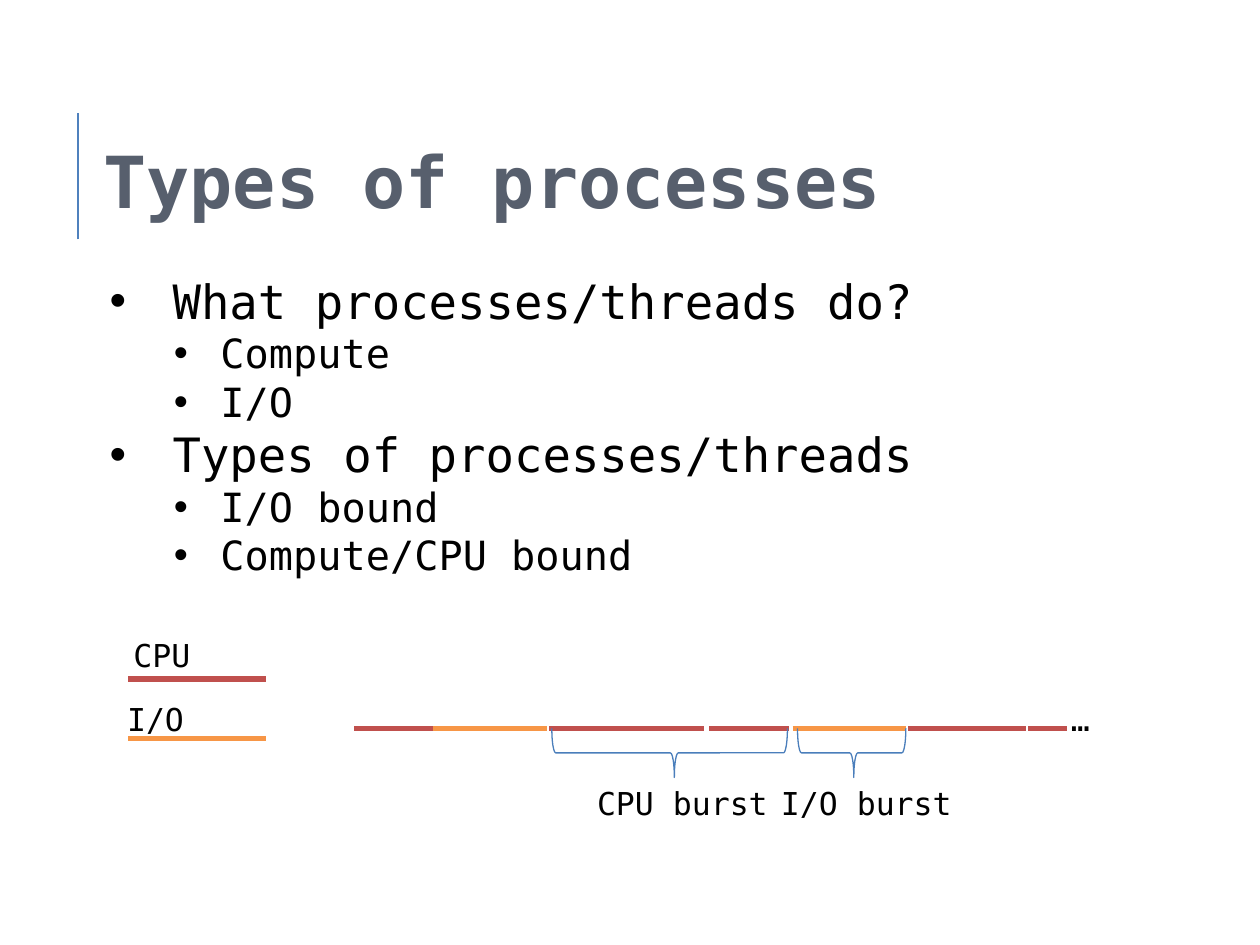
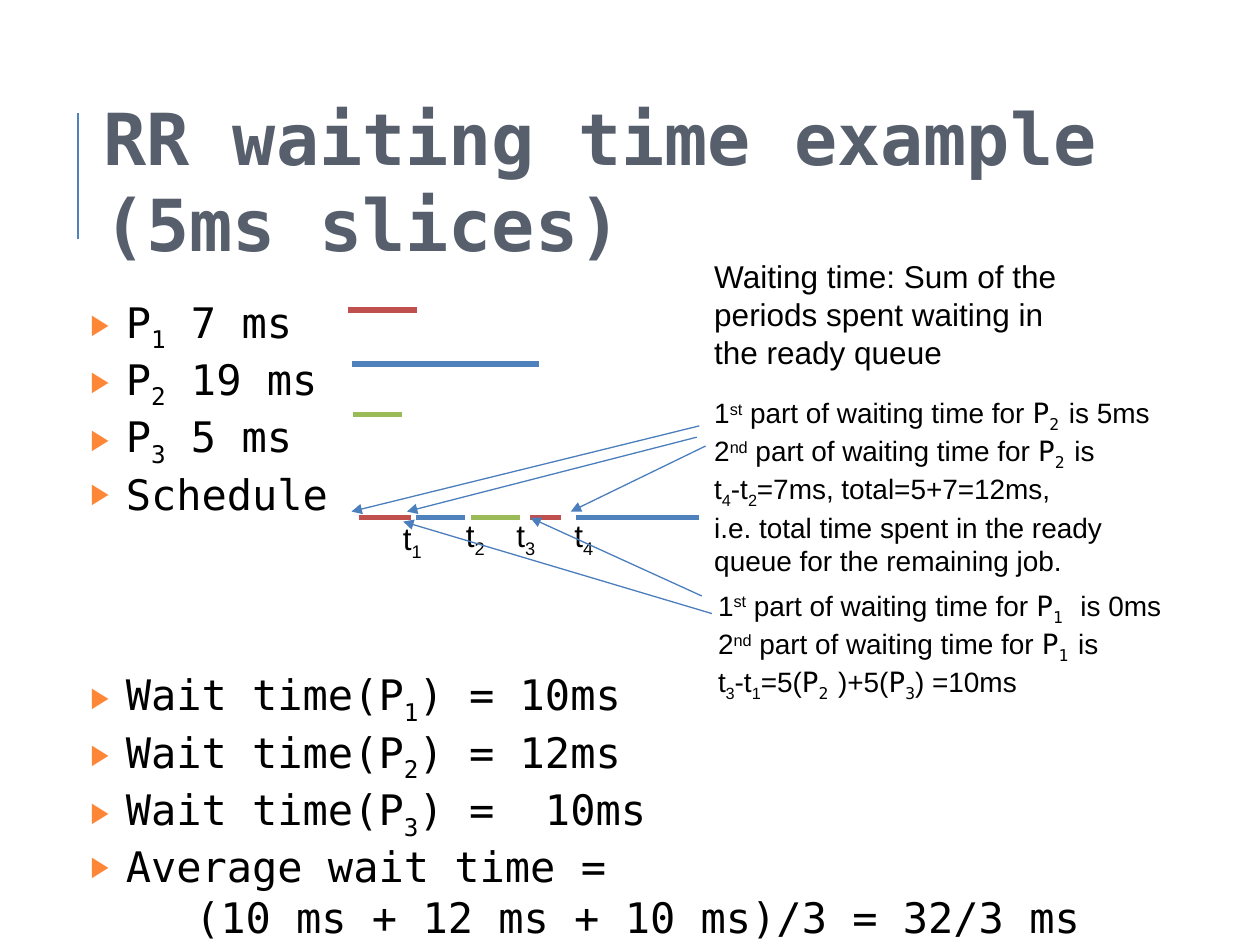
from itertools import cycle

from lxml import etree
from pptx import Presentation
from pptx.dml.color import RGBColor
from pptx.enum.shapes import MSO_CONNECTOR, MSO_SHAPE
from pptx.enum.text import MSO_ANCHOR, PP_ALIGN
from pptx.oxml.ns import qn
from pptx.util import Inches, Pt

STRAIGHT = MSO_CONNECTOR.STRAIGHT
LEFT_BRACE = MSO_SHAPE.LEFT_BRACE
TOP, MIDDLE = MSO_ANCHOR.TOP, MSO_ANCHOR.MIDDLE
CENTER = PP_ALIGN.CENTER

THEME = {
    "mono": "DejaVu Sans Mono", "sans": "Arial",
    "title": "575F6D", "text": "000000", "rule": "4F81BD", "thin": "4A7EBB",
    "arrow": "4B7EBC", "triangle": "FE8637",
    "red": "C0504D", "orange": "F79646", "blue": "4F81BD", "green": "9BBB59",
    "title_size": 41, "topic_size": 27, "point_size": 23, "list_size": 24,
    "label_size": 18, "note_size": 16,
    "bar_width": 3, "rule_width": 1.5, "thin_width": 0.75,
}
INSETS = (0.1, 0.05)

# ---- Content: processes ----
TOPICS = [
    ("What processes/threads do?", ["Compute", "I/O"]),
    ("Types of processes/threads", ["I/O bound", "Compute/CPU bound"]),
]
# label, left and top of the label, colour and height of the key line
LEGEND = [("CPU", 0.96, 5.0, "red", 5.39), ("I/O", 0.91, 5.51, "orange", 5.86)]
BURST_STARTS = [2.81, 3.44, 3.73, 4.36, 4.59, 5.28,
                5.63, 6.29, 6.58, 7.21, 7.44, 8.16]
BURST_LENGTHS = [0.63, 0.31, 0.61, 0.31, 0.7, 0.31]
BURST_COLORS = ["red", "orange", "orange", "red", "red", "red"]
BURST_Y = 5.78
# label, left of the label, left and width of the span it marks
BRACES = [("CPU burst", 4.64, 4.38, 1.87), ("I/O burst", 6.1, 6.33, 0.86)]
BRACE_TOP, BRACE_HEIGHT = 5.78, 0.39

# ---- Content: round robin ----
# Runs are parted by "|"; "`" means monospaced, "_" subscript, "^" superscript.
JOBS = ["P|_1| 7 ms", "P|_2| 19 ms", "P|_3| 5 ms", "Schedule"]
WAITS = ["Wait time(P|_1|) = 10ms", "Wait time(P|_2|) = 12ms",
         "Wait time(P|_3|) =  10ms", "Average wait time ="]
AVERAGE = "(10 ms + 12 ms + 10 ms)/3 = 32/3 ms"
SCHEDULE_GAP = 86
DEFINITION = "Waiting time: Sum of the periods spent waiting in the ready queue"
NOTE_P2 = [
    "1|^st| part of waiting time for |`P|`_2 |is 5ms",
    "2|^nd| part of waiting time for |`P|`_2 |is",
    "t|_4|-t|_2|=7ms, total=5+7=12ms,",
    "i.e. total time spent in the ready",
    "queue for the remaining job.",
]
NOTE_P1 = [
    "1|^st| part of waiting time for |`P|`_1 | is 0ms",
    "2|^nd| part of waiting time for |`P|`_1 |is",
    "t|_3|-t|_1|=5(|`P|`_2 |)+5(|`P|`_3|) =10ms",
]
JOB_BARS = [(2.76, 3.31, 2.46, "red"), (2.79, 4.28, 2.89, "blue"),
            (2.8, 3.19, 3.29, "green")]
SCHEDULE_Y = 4.11
SLICES = [(2.85, 3.26, "red"), (3.3, 3.69, "blue"), (3.74, 4.13, "green"),
          (4.21, 4.45, "red"), (4.57, 5.55, "blue")]
TIME_MARKS = [("t|_1", 3.1, 4.07), ("t|_2", 3.6, 4.05),
              ("t|_3", 4.0, 4.05), ("t|_4", 4.46, 4.05)]
NOTE_ARROWS = [
    ((5.55, 3.38), (2.79, 4.06)), ((5.53, 3.47), (3.23, 4.06)),
    ((5.6, 3.54), (4.53, 4.06)), ((5.57, 4.73), (4.21, 4.11)),
    ((5.65, 4.87), (3.2, 4.14)),
]


# ---- Helpers ----
def color(name):
    return RGBColor.from_string(THEME[name])


def add_line(page, start, end, ink, width=THEME["bar_width"], arrow=False):
    ends = [Inches(value) for value in (*start, *end)]
    line = page.shapes.add_connector(STRAIGHT, *ends)
    line.line.color.rgb = color(ink)
    line.line.width = Pt(width)
    if arrow:
        etree.SubElement(line.line._get_or_add_ln(), qn("a:tailEnd"), type="triangle")
    etree.SubElement(line._element.spPr, qn("a:effectLst"))


def add_bar(page, left, right, y, ink):
    add_line(page, (left, y), (right, y), ink)


def add_box(page, left, top, width, height, insets=INSETS, wrap=True, anchor=TOP):
    box = page.shapes.add_textbox(*map(Inches, (left, top, width, height)))
    frame = box.text_frame
    frame.word_wrap = wrap
    frame.vertical_anchor = anchor
    frame.margin_left = frame.margin_right = Inches(insets[0])
    frame.margin_top = frame.margin_bottom = Inches(insets[1])
    return frame


def write(para, marked, size, font="mono", ink="text", bold=False):
    for piece in marked.split("|"):
        face = "mono" if piece.startswith("`") else font
        piece = piece.removeprefix("`")
        shift = {"_": "-25000", "^": "30000"}.get(piece[:1])
        span = para.add_run()
        span.text = piece[1:] if shift else piece
        span.font.size = Pt(THEME[size])
        span.font.name = THEME[face]
        span.font.color.rgb = color(ink)
        span.font.bold = bold
        if shift:
            span.font._element.set("baseline", shift)


def paragraphs(frame, count):
    return [frame.paragraphs[0]] + [frame.add_paragraph() for _ in range(count - 1)]


def indent(para, left, first, bullet=None, ink="text", percent=100, before=0):
    para.space_before = Pt(before)
    props = para._element.get_or_add_pPr()
    props.set("marL", str(Inches(left)))
    props.set("indent", str(Inches(first)))
    if bullet:
        tint = etree.SubElement(props, qn("a:buClr"))
        etree.SubElement(tint, qn("a:srgbClr"), val=THEME[ink])
        etree.SubElement(props, qn("a:buSzPct"), val=str(percent * 1000))
        etree.SubElement(props, qn("a:buFont"), typeface=THEME["sans"])
        etree.SubElement(props, qn("a:buChar"), char=bullet)


def add_lines(page, lines, place, size, font, wrap=False):
    frame = add_box(page, *place, wrap=wrap)
    for para, line in zip(paragraphs(frame, len(lines)), lines):
        write(para, line, size, font)


def add_page(deck, title):
    page = deck.slides.add_slide(deck.slide_layouts[6])
    add_line(page, (0.62, 1.9), (0.62, 0.9), "rule", THEME["rule_width"])
    frame = add_box(page, 0.82, 1.18, 9.18, 0.5, insets=(0, 0), anchor=MIDDLE)
    write(frame.paragraphs[0], title, "title_size", ink="title", bold=True)
    return page


# ---- Slides ----
def build_processes(deck):
    page = add_page(deck, "Types of processes")

    # Topics with their points
    rows = []
    for topic, points in TOPICS:
        rows.append((topic, 0, "topic_size", 0.5, -0.5))
        rows += [(point, 1, "point_size", 0.88, -0.37) for point in points]
    frame = add_box(page, 0.82, 2.11, 8.44, 5.3, insets=(0.05, 0.05))
    for para, (text, level, size, left, first) in zip(paragraphs(frame, len(rows)), rows):
        para.level = level
        indent(para, left, first, "•")
        write(para, text, size)

    # Legend
    for label, left, top, ink, y in LEGEND:
        add_bar(page, 1.02, 2.11, y, ink)
        add_lines(page, [label], (left, top, 0.68, 0.4), "label_size", "mono")

    # Timeline of bursts
    for start, length, ink in zip(BURST_STARTS, cycle(BURST_LENGTHS), cycle(BURST_COLORS)):
        add_bar(page, start, start + length, BURST_Y, ink)
    add_lines(page, ["…"], (8.4, 5.51, 0.45, 0.4), "label_size", "mono")

    # Braces, turned to point down
    for label, label_left, left, width in BRACES:
        box_left = left + (width - BRACE_HEIGHT) / 2
        box_top = BRACE_TOP + (BRACE_HEIGHT - width) / 2
        brace = page.shapes.add_shape(
            LEFT_BRACE, *map(Inches, (box_left, box_top, BRACE_HEIGHT, width)))
        brace.rotation = 270
        brace.adjustments[0], brace.adjustments[1] = 0.08, 0.52
        brace.shadow.inherit = False
        brace.fill.background()
        brace.line.color.rgb = color("thin")
        brace.line.width = Pt(THEME["thin_width"])
        add_lines(page, [label], (label_left, 6.17, 1.6, 0.4), "label_size", "mono")


def build_round_robin(deck):
    page = add_page(deck, "RR waiting time example (5ms slices)")

    # Jobs, waits and the average
    rows = JOBS + WAITS
    frame = add_box(page, 0.5, 2.3, 9, 4.95)
    *bulleted, last = paragraphs(frame, len(rows) + 1)
    for para, row in zip(bulleted, rows):
        before = SCHEDULE_GAP if row == WAITS[0] else 0
        indent(para, 0.4, -0.28, "▶", "triangle", 68, before)
        write(para, row, "list_size")
    indent(last, 0.4, -0.28)
    last.alignment = CENTER
    write(last, AVERAGE, "list_size")

    # Job lengths and schedule
    for bar in JOB_BARS:
        add_bar(page, *bar)
    for left, right, ink in SLICES:
        add_bar(page, left, right, SCHEDULE_Y, ink)
    for mark, left, top in TIME_MARKS:
        add_lines(page, [mark], (left, top, 0.36, 0.4), "label_size", "sans")

    # Notes and their arrows
    add_lines(page, [DEFINITION], (5.57, 1.99, 3.11, 1.01), "label_size", "sans", wrap=True)
    add_lines(page, NOTE_P2, (5.57, 3.09, 3.82, 1.45), "note_size", "sans")
    add_lines(page, NOTE_P1, (5.6, 4.62, 3.88, 0.91), "note_size", "sans")
    for start, end in NOTE_ARROWS:
        add_line(page, start, end, "arrow", THEME["thin_width"], arrow=True)


def main():
    deck = Presentation()
    deck.slide_width, deck.slide_height = Inches(10), Inches(7.5)
    build_processes(deck)
    build_round_robin(deck)
    deck.save("out.pptx")


if __name__ == "__main__":
    main()
